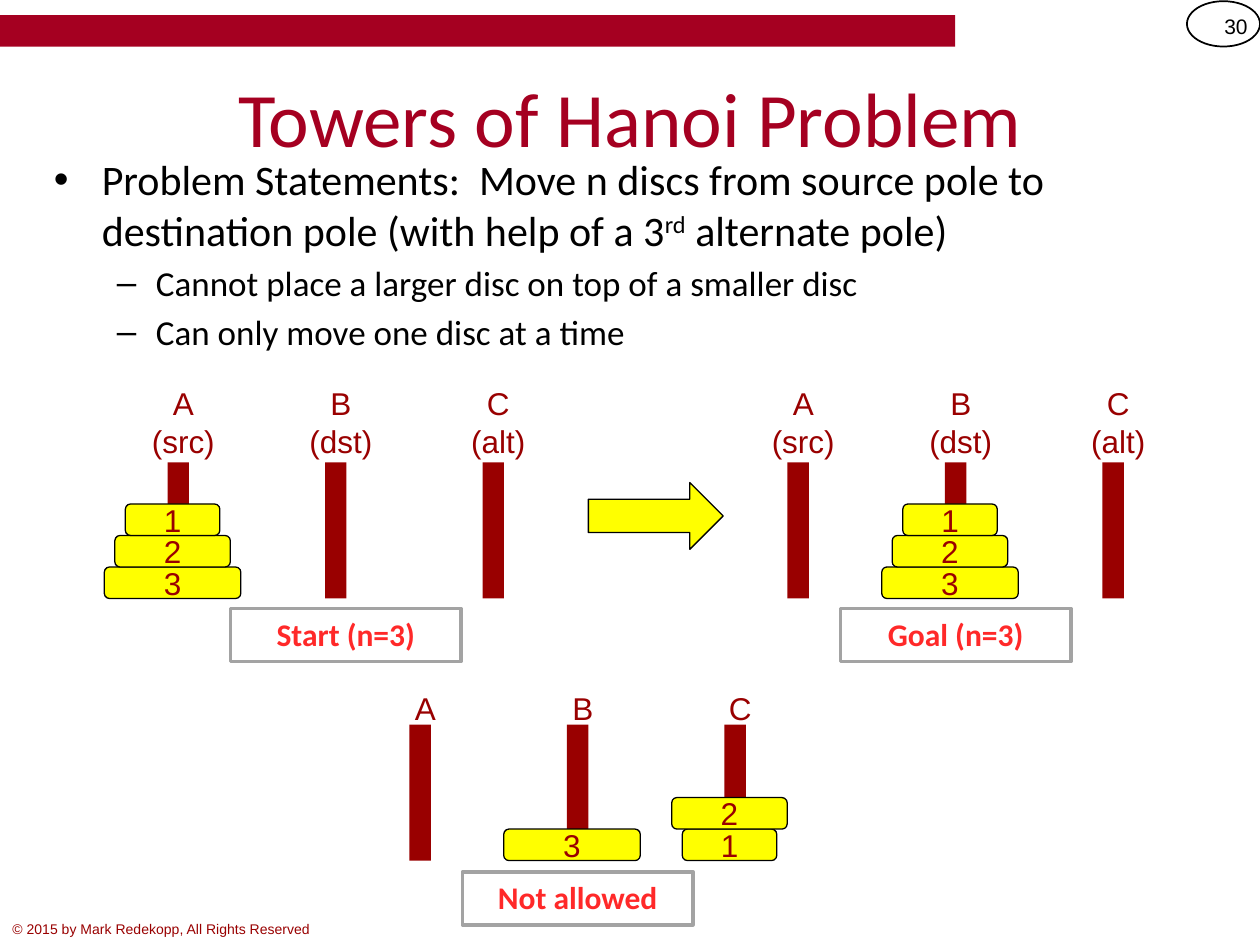
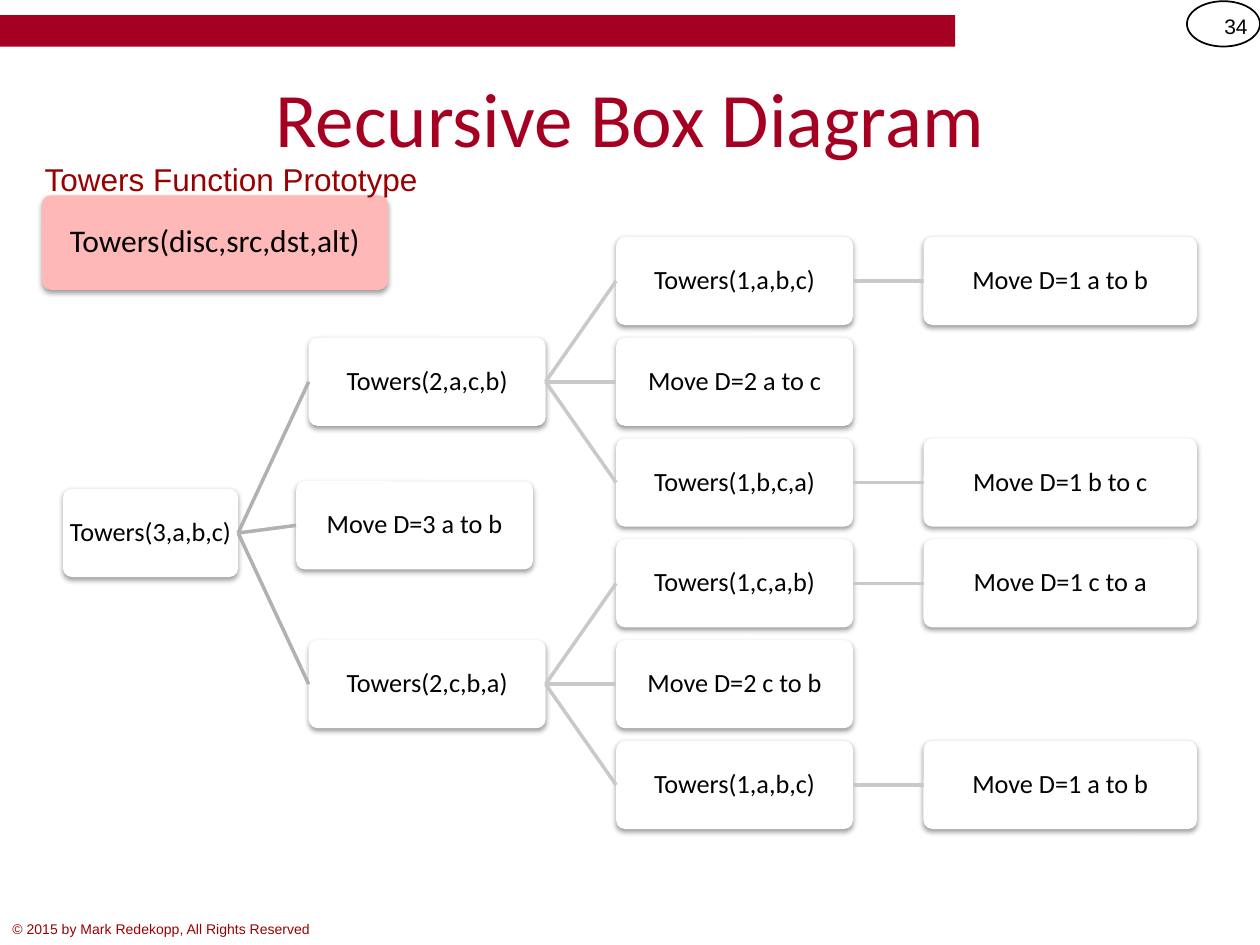
import pptx
import pptx.dml.color
import pptx.enum.shapes
import pptx.enum.text
import pptx.oxml
import pptx.oxml.ns
import pptx.util
from pptx.util import Inches

SHAPE = pptx.enum.shapes.MSO_SHAPE
ALIGN = pptx.enum.text.PP_ALIGN
ANCHOR = pptx.enum.text.MSO_ANCHOR

COLORS = {
    "band": "A50021",
    "maroon": "990000",
    "disc": "FFFF00",
    "caption": "FF2929",
    "frame": "A3A3A3",
    "prototype": "FFB8B8",
    "first_link": "B1B1B1",
    "link": "C9C9C9",
    "black": "000000",
    "white": "FFFFFF",
}

POLE_WIDTH, POLE_HEIGHT, POLE_STEP = 0.17, 1.08, 1.25
DISC_HEIGHT = 0.25

NODE_COLUMNS = [(0.5, 1.39), (2.45, 1.88), (4.89, 1.88), (7.33, 2.17)]
NODE_TOP, NODE_STEP, NODE_HEIGHT = 1.88, 0.8, 0.7


def rgb(name):
    return pptx.dml.color.RGBColor.from_string(COLORS[name])


def write(p, text, size=18, font="Arial", color="maroon", bold=False, raised=False):
    """Add text to paragraph p, one run per line."""
    for i, line in enumerate(text.split("\n")):
        if i:
            p.add_line_break()
        r = p.add_run()
        r.text = line
        r.font.size = pptx.util.Pt(size)
        r.font.name = font
        r.font.bold = bold
        r.font.color.rgb = rgb(color)
        if raised:
            r.font._element.set("baseline", "30000")


def add_bullet(p, char, margin, indent):
    pPr = p._p.get_or_add_pPr()
    pPr.set("marL", str(Inches(margin)))
    pPr.set("indent", str(Inches(indent)))
    for tag, key, value in (("buFont", "typeface", "Arial"), ("buChar", "char", char)):
        pptx.oxml.ns.qn("a:" + tag)
        item = pPr.makeelement(pptx.oxml.ns.qn("a:" + tag), {key: value})
        pPr.append(item)


def add_soft_shadow(sp):
    sp._element.spPr.append(pptx.oxml.parse_xml(
        f'<a:effectLst {pptx.oxml.ns.nsdecls("a")}>'
        '<a:outerShdw blurRad="40000" dist="20000" dir="5400000" rotWithShape="0">'
        '<a:srgbClr val="000000"><a:alpha val="38000"/></a:srgbClr>'
        '</a:outerShdw></a:effectLst>'))


class Deck:
    def __init__(self):
        self.prs = pptx.Presentation()
        self.prs.slide_width, self.prs.slide_height = Inches(10), Inches(7.5)
        self.slide = None

    def add_slide(self, title, number):
        self.slide = self.prs.slides.add_slide(self.prs.slide_layouts[6])
        self.shape(SHAPE.RECTANGLE, 0, 0.12, 7.58, 0.25, fill="band")
        self.shape(SHAPE.OVAL, 9.42, 0.01, 0.58, 0.36, line="black", weight=1)
        self.text(9.42, 0.01, 0.58, 0.4, str(number), align=ALIGN.RIGHT,
                  anchor=ANCHOR.MIDDLE, size=12, color="black")
        self.text(0, 7.26, 5.33, 0.24, "© 2015 by Mark Redekopp, All Rights Reserved",
                  align=ALIGN.LEFT, size=8)
        self.text(0.5, 0.3, 9, 1.25, title, anchor=ANCHOR.MIDDLE,
                  size=44, font="Calibri", color="band")

    def fill_text(self, tf, text, align=ALIGN.CENTER, anchor=ANCHOR.TOP, **style):
        tf.word_wrap = True
        tf.vertical_anchor = anchor
        p = tf.paragraphs[0]
        p.alignment = align
        write(p, text, **style)

    def text(self, x, y, w, h, text, **style):
        box = self.slide.shapes.add_textbox(Inches(x), Inches(y), Inches(w), Inches(h))
        self.fill_text(box.text_frame, text, **style)

    def shape(self, kind, x, y, w, h, fill=None, line=None, weight=0.75, text="", **style):
        sp = self.slide.shapes.add_shape(kind, Inches(x), Inches(y), Inches(w), Inches(h))
        sp.shadow.inherit = False
        if fill:
            sp.fill.solid()
            sp.fill.fore_color.rgb = rgb(fill)
        else:
            sp.fill.background()
        if line:
            sp.line.color.rgb = rgb(line)
            sp.line.width = pptx.util.Pt(weight)
        else:
            sp.line.fill.background()
        if text:
            self.fill_text(sp.text_frame, text, **style)
        return sp

    def bullets(self, x, y, w, h, items):
        """Each item is a level and a list of (text, raised) parts."""
        tf = self.slide.shapes.add_textbox(
            Inches(x), Inches(y), Inches(w), Inches(h)).text_frame
        tf.word_wrap = True
        levels = [("•", 0.38, -0.38, 24), ("–", 0.81, -0.31, 20)]
        for i, (level, parts) in enumerate(items):
            char, margin, indent, size = levels[level]
            p = tf.add_paragraph() if i else tf.paragraphs[0]
            p.level = level
            add_bullet(p, char, margin, indent)
            if i:
                p.space_before = pptx.util.Pt(size * 0.2)
            for text, raised in parts:
                write(p, text, size=size, font="Calibri", color="black", raised=raised)

    def poles(self, left, top, labels, stacks, label_gap):
        """Draw three poles; each stack lists its discs from the bottom up."""
        for i, (label, discs) in enumerate(zip(labels, stacks)):
            x = left + i * POLE_STEP
            self.shape(SHAPE.RECTANGLE, x, top, POLE_WIDTH, POLE_HEIGHT, fill="maroon")
            self.text(x - 0.5, top - label_gap, POLE_STEP, 0.33, label)
            for j, disc in enumerate(discs, 1):
                w = 0.75 + (disc - 1) / 6
                self.shape(SHAPE.ROUNDED_RECTANGLE, x + 0.04 - w / 2,
                           top + POLE_HEIGHT - j * DISC_HEIGHT, w, DISC_HEIGHT,
                           fill="disc", line="black", text=str(disc), anchor=ANCHOR.MIDDLE)

    def caption(self, x, y, text):
        self.shape(SHAPE.RECTANGLE, x, y, 1.83, 0.42, fill="white", line="frame", weight=2,
                   text=text, font="Calibri", color="caption", bold=True)

    def card(self, x, y, w, h, text, fill="white", size=15):
        sp = self.shape(SHAPE.ROUNDED_RECTANGLE, x, y, w, h, fill=fill, text=text,
                        anchor=ANCHOR.MIDDLE, size=size, font="Calibri", color="black")
        sp.adjustments[0] = 0.1
        sp._element.spPr.remove(sp._element.spPr.find(pptx.oxml.ns.qn("a:effectLst")))
        add_soft_shadow(sp)
        tf = sp.text_frame
        tf.margin_left = tf.margin_right = tf.margin_top = tf.margin_bottom = Inches(0.03)
        tf.paragraphs[0].line_spacing = 0.9
        return sp

    def node(self, column, row, text, dx=0, dy=0):
        x, w = NODE_COLUMNS[column]
        return self.card(x + dx, NODE_TOP + row * NODE_STEP + dy, w, NODE_HEIGHT, text)

    def link(self, parent, child, color):
        """Join the parent's right side to the child's left side."""
        line = self.slide.shapes.add_connector(
            pptx.enum.shapes.MSO_CONNECTOR.STRAIGHT, 0, 0, 0, 0)
        line.begin_connect(parent, 3)
        line.end_connect(child, 1)
        line.line.color.rgb = rgb(color)
        line.line.width = pptx.util.Pt(2)
        spPr = line._element.spPr
        spPr.append(spPr.makeelement(pptx.oxml.ns.qn("a:effectLst"), {}))

    def towers(self, disc, src, dst, alt, row):
        """Draw the call for a disc and all the calls and moves it leads to."""
        column = 3 - disc
        call = self.node(column, row, f"Towers({disc},{src},{dst},{alt})")
        dx, dy = (-0.1, -0.06) if disc == 3 else (0, 0)
        children = [self.node(column + 1, row, f"Move D={disc} {src} to {dst}", dx, dy)]
        if disc > 1:
            spread = disc / 2
            children.insert(0, self.towers(disc - 1, src, alt, dst, row - spread))
            children.append(self.towers(disc - 1, alt, dst, src, row + spread))
        for child in children:
            self.link(call, child, "link" if column else "first_link")
        return call


def build_problem(deck):
    deck.add_slide("Towers of Hanoi Problem", 30)
    deck.bullets(0.33, 1.17, 9.33, 1.58, [
        (0, [("Problem Statements:  Move n discs from source pole to destination pole "
              "(with help of a 3", False), ("rd", True), (" alternate pole)", False)]),
        (1, [("Cannot place a larger disc on top of a smaller disc", False)]),
        (1, [("Can only move one disc at a time", False)]),
    ])
    roles = ["A\n(src)", "B\n(dst)", "C\n(alt)"]
    deck.poles(1.33, 3.67, roles, [[3, 2, 1], [], []], 0.67)
    deck.poles(6.25, 3.67, roles, [[], [3, 2, 1], []], 0.67)
    deck.poles(3.25, 5.75, "ABC", [[], [3], [1, 2]], 0.33)
    deck.shape(SHAPE.RIGHT_ARROW, 4.67, 3.83, 1.07, 0.53, fill="disc", line="black")
    deck.caption(1.83, 4.83, "Start (n=3)")
    deck.caption(6.67, 4.83, "Goal (n=3)")
    deck.caption(3.67, 6.92, "Not allowed")


def build_box_diagram(deck):
    deck.add_slide("Recursive Box Diagram", 34)
    deck.towers(3, "a", "b", "c", row=2.5)
    deck.card(0.33, 1.55, 2.75, 0.75, "Towers(disc,src,dst,alt)", fill="prototype", size=18)
    deck.text(0.25, 1.22, 3.17, 0.33, "Towers Function Prototype")


def main():
    deck = Deck()
    build_problem(deck)
    build_box_diagram(deck)
    deck.prs.save("out.pptx")


if __name__ == "__main__":
    main()
